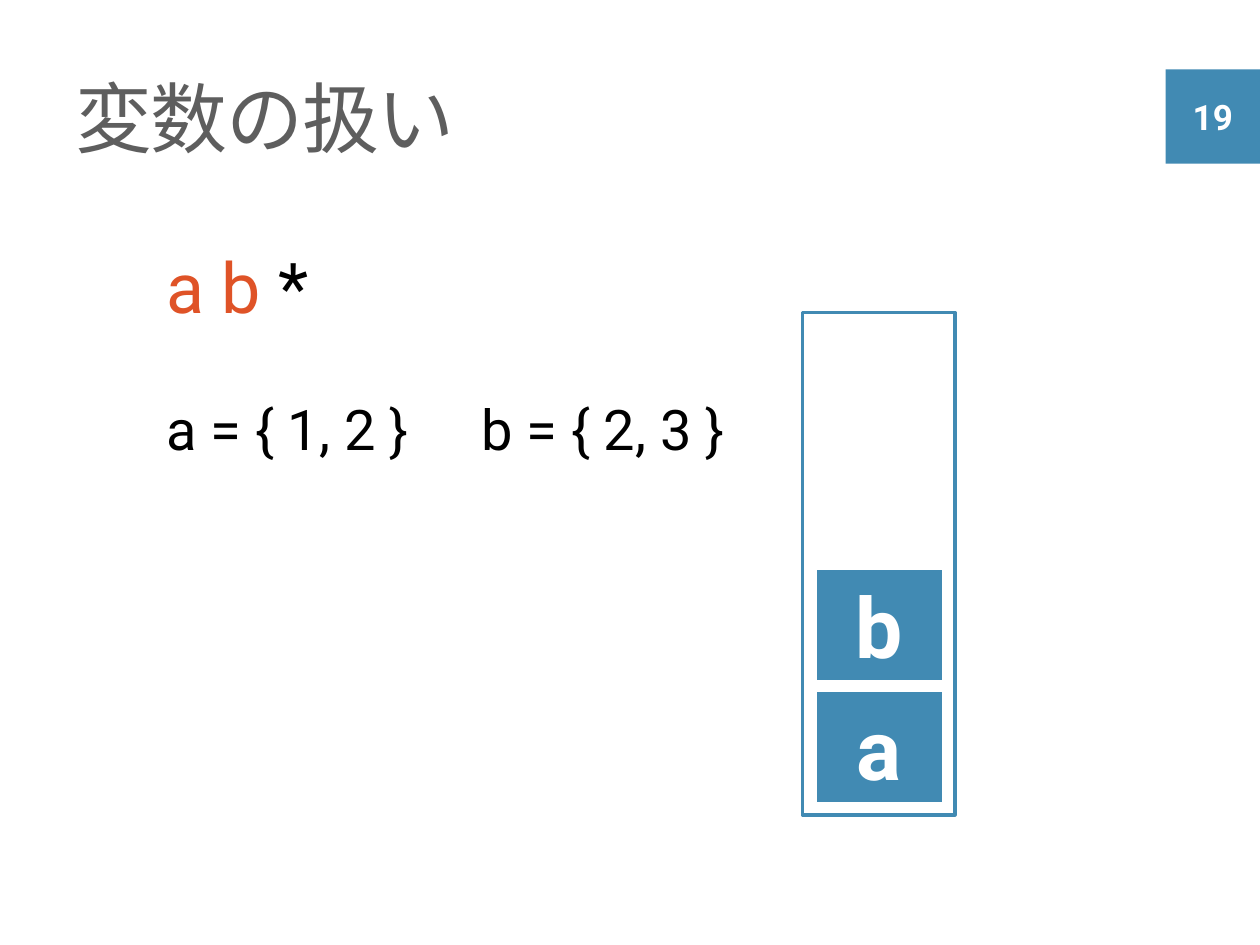
from pptx import Presentation
from pptx.dml.color import RGBColor
from pptx.enum.shapes import MSO_SHAPE as Shape
from pptx.enum.text import MSO_ANCHOR as Anchor, MSO_AUTO_SIZE as Fit, PP_ALIGN as Align
from pptx.util import Cm, Pt

FONT = "Roboto"
BLUE, WHITE, BLACK = "418AB3", "FFFFFF", "000000"
GREY, RED = "5E5E5E", "DF5327"


def color(code):
    """Turn a hex string into a colour."""
    return RGBColor.from_string(code)


def style(font, size, bold=False):
    """Set face, size and weight of a font."""
    font.name, font.size, font.bold = FONT, Pt(size), bold


def add_box(slide, area, fill, line=None, width=0, text="", size=20):
    """Add a filled rectangle with optional outline and bold centred text."""
    box = slide.shapes.add_shape(Shape.RECTANGLE, *map(Cm, area))
    box.shadow.inherit = False
    box.fill.solid()
    box.fill.fore_color.rgb = color(fill)
    if line:
        box.line.color.rgb = color(line)
        box.line.width = Pt(width)
    else:
        box.line.fill.background()
    if text:
        frame = box.text_frame
        frame.vertical_anchor = Anchor.MIDDLE
        para = frame.paragraphs[0]
        para.text = text
        para.alignment = Align.CENTER
        style(para.font, size, True)
        para.font.color.rgb = color(WHITE)


def add_text(slide, area, parts, size):
    """Add one line of (text, colour) parts and return its text frame."""
    frame = slide.shapes.add_textbox(*map(Cm, area)).text_frame
    frame.word_wrap = False
    frame.auto_size = Fit.SHAPE_TO_FIT_TEXT
    para = frame.paragraphs[0]
    style(para.font, size)
    for text, code in parts:
        run = para.add_run()
        run.text = text
        run.font.color.rgb = color(code)
    return frame


def add_title(slide, text):
    """Add the slide title with slightly tight letters."""
    frame = add_text(slide, (1.27, 0.76, 23.6, 3.18), [(text, GREY)], 44)
    frame.auto_size = Fit.NONE
    frame.word_wrap = True
    frame.vertical_anchor = Anchor.MIDDLE
    run = frame.paragraphs[0].runs[0]
    run._r.get_or_add_rPr().set("spc", "-80")


def add_stack(slide, items):
    """Add the stack frame and its items, from the bottom up."""
    add_box(slide, (16.18, 6.3, 3.07, 10.13), WHITE, BLUE, 2)
    base, step = 13.89, 2.46
    for i, item in enumerate(items):
        area = (16.41, base - i * step, 2.64, 2.34)
        add_box(slide, area, BLUE, WHITE, 3, item, 48)


def main():
    """Build the slide and save it."""
    deck = Presentation()
    deck.slide_width, deck.slide_height = Cm(25.4), Cm(19.05)
    slide = deck.slides.add_slide(deck.slide_layouts[6])
    add_box(slide, (23.5, 1.4, 1.9, 1.9), BLUE, text="19")
    add_title(slide, "変数の扱い")
    add_stack(slide, "ab")
    add_text(slide, (3.1, 4.78, 3.61, 1.96), [("a b ", RED), ("*", BLACK)], 40)
    for left, width, text in ((3.1, 5.66, "a = { 1, 2 }"), (9.45, 5.94, "b = { 2, 3 }")):
        add_text(slide, (left, 7.82, width, 1.63), [(text, BLACK)], 32)
    deck.save("out.pptx")


main()
